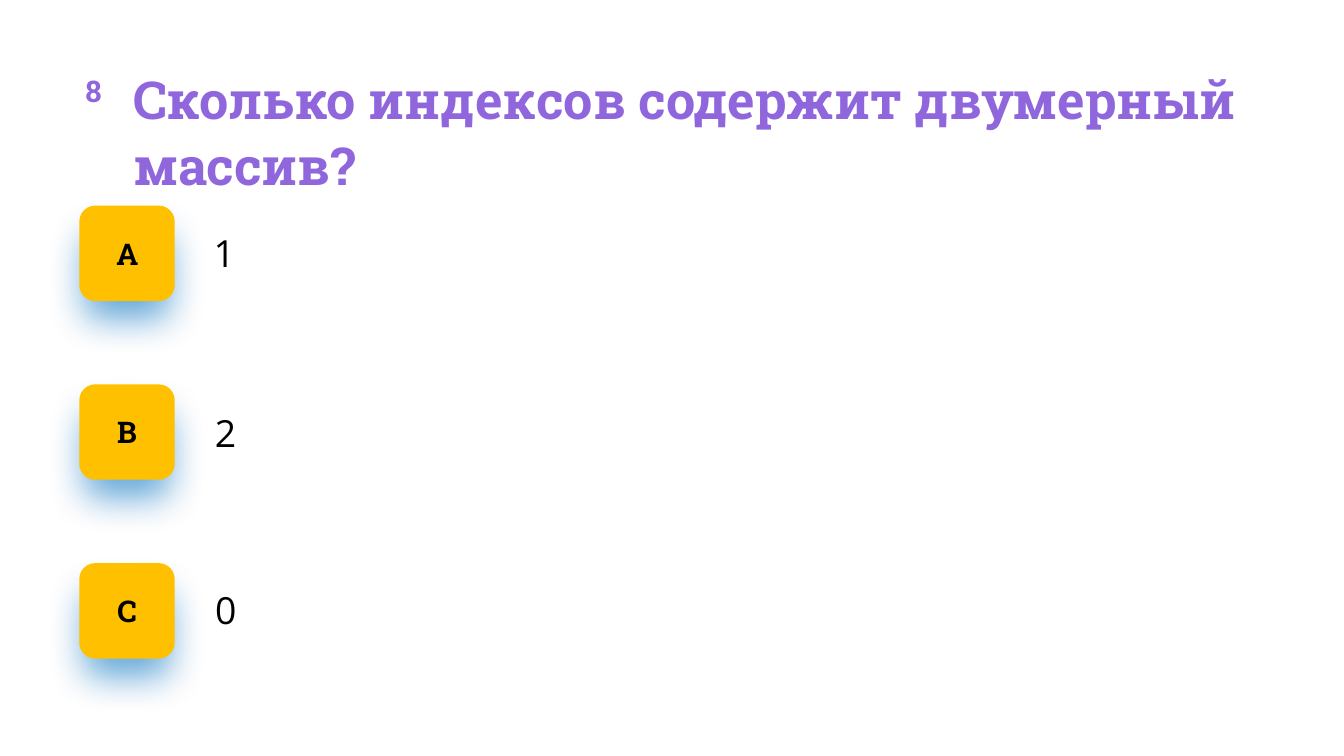
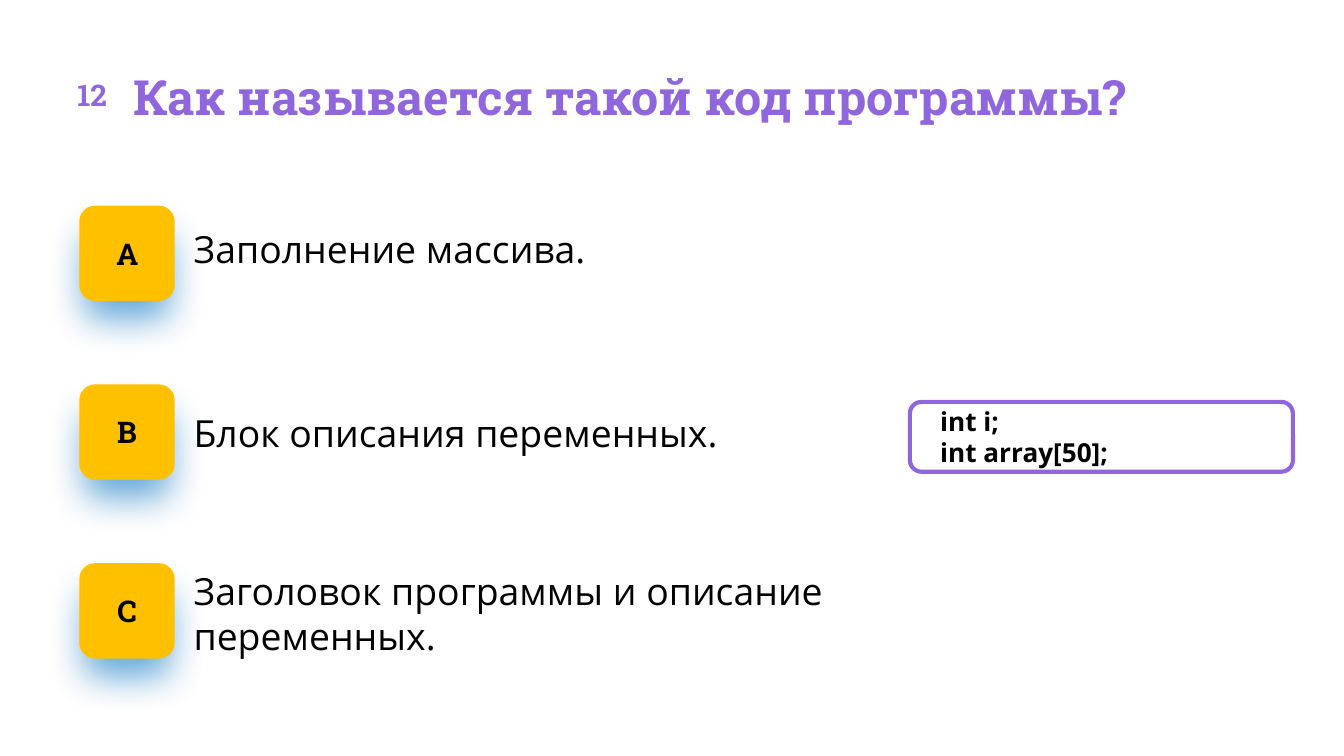
"""Build two quiz slides with lettered answers."""
from dataclasses import dataclass

from lxml import etree
from pptx import Presentation
from pptx import util as u
from pptx.dml.color import RGBColor
from pptx.enum import shapes, text
from pptx.oxml import ns


@dataclass(frozen=True)
class Theme:
    accent: str = "9066DC"
    tile: str = "FFC000"
    glow: str = "0070C0"
    ink: str = "000000"
    heading_font: str = "Roboto Slab"
    body_font: str = "Open Sans"
    label_size: int = 16
    answer_size: int = 20
    code_size: int = 14


def write(shape, content, *, font, size, color, bold=False, align=text.PP_ALIGN.LEFT,
          anchor=text.MSO_ANCHOR.TOP, inset=0, indent=0, spacing=None, grow=True):
    frame = shape.text_frame
    frame.word_wrap = True
    frame.vertical_anchor = anchor
    frame.margin_left = u.Inches(inset)
    frame.margin_top = frame.margin_right = frame.margin_bottom = 0
    frame.auto_size = (text.MSO_AUTO_SIZE.SHAPE_TO_FIT_TEXT if grow
                       else text.MSO_AUTO_SIZE.NONE)
    frame.text = content
    for para in frame.paragraphs:
        para.alignment = align
        if spacing:
            para.line_spacing = spacing
        if indent:
            para._p.get_or_add_pPr().set("indent", str(u.Inches(indent)))
        for span in para.runs:
            span.font.name = font
            span.font.size = u.Pt(size)
            span.font.bold = bold
            span.font.color.rgb = RGBColor.from_string(color)


class QuizDeck:
    TILE_LEFT, TILE_TOP, TILE_SIZE, TILE_STEP = 0.59, 1.53, 0.71, 1.33
    LETTERS = "АBC"

    def __init__(self, theme):
        self.theme = theme
        self.deck = Presentation()
        self.deck.slide_width = u.Inches(10)
        self.deck.slide_height = u.Inches(10) * 9 // 16
        self.page = None

    def add_page(self):
        self.page = self.deck.slides.add_slide(self.deck.slide_layouts[5])

    def title(self, content, size, height):
        box = self.page.shapes.title
        box.left, box.top = u.Inches(0.99), u.Inches(0.47)
        box.width, box.height = u.Inches(8.87), u.Inches(height)
        write(box, content, font=self.theme.heading_font, size=size,
              color=self.theme.accent, bold=True, spacing=1.06)

    def rounded(self, left, top, width, height, fill=None, line=None):
        box = self.page.shapes.add_shape(
            shapes.MSO_SHAPE.ROUNDED_RECTANGLE,
            *map(u.Inches, (left, top, width, height)))
        box.shadow.inherit = False
        if fill:
            box.fill.solid()
            box.fill.fore_color.rgb = RGBColor.from_string(fill)
        else:
            box.fill.background()
        if line:
            box.line.color.rgb = RGBColor.from_string(line)
            box.line.width = u.Pt(2.25)
        else:
            box.line.fill.background()
        return box

    def glow(self, box):
        effects = box._element.spPr.find(ns.qn("a:effectLst"))
        shadow = etree.SubElement(
            effects, ns.qn("a:outerShdw"), blurRad=str(u.Pt(20)),
            dist=str(u.Pt(15)), dir="5400000", sx="90000", sy="90000",
            algn="t", rotWithShape="0")
        color = etree.SubElement(shadow, ns.qn("a:srgbClr"), val=self.theme.glow)
        etree.SubElement(color, ns.qn("a:alpha"), val="60000")

    def label(self, box, content, color):
        write(box, content, font=self.theme.heading_font, size=self.theme.label_size,
              color=color, bold=True, align=text.PP_ALIGN.CENTER,
              anchor=text.MSO_ANCHOR.MIDDLE, grow=False)

    def number(self, content, left, top):
        self.label(self.rounded(left, top, 0.59, 0.59), content, self.theme.accent)

    def tiles(self):
        for row, letter in enumerate(self.LETTERS):
            box = self.rounded(self.TILE_LEFT, self.TILE_TOP + row * self.TILE_STEP,
                               self.TILE_SIZE, self.TILE_SIZE, fill=self.theme.tile)
            self.glow(box)
            self.label(box, letter, self.theme.ink)

    def answer(self, content, left, top, width, height=0.34):
        box = self.page.shapes.add_textbox(*map(u.Inches, (left, top, width, height)))
        write(box, content, font=self.theme.body_font, size=self.theme.answer_size,
              color=self.theme.ink, inset=0.14)

    def code(self, content, left, top, width, height):
        box = self.rounded(left, top, width, height, line=self.theme.accent)
        write(box, content, font=self.theme.body_font, size=self.theme.code_size,
              color=self.theme.ink, bold=True, indent=0.2)

    def question(self, content, size, height, number, number_at, answers):
        self.add_page()
        self.title(content, size, height)
        self.number(number, *number_at)
        self.tiles()
        for answer in answers:
            self.answer(*answer)


def main():
    quiz = QuizDeck(Theme())
    quiz.question(
        "Сколько индексов содержит двумерный массив?", 28, 0.97, "8", (0.4, 0.38),
        [("1", 1.45, 1.71, 7.95),
         ("2", 1.46, 3.05, 7.24),
         ("0", 1.46, 4.37, 8.15)])
    quiz.question(
        "Как называется такой код программы?", 26, 0.44, "12", (0.39, 0.41),
        [("Заполнение массива.", 1.3, 1.68, 5.15),
         ("Блок описания переменных.", 1.3, 3.05, 5.15),
         ("Заголовок программы и описание переменных.", 1.3, 4.23, 5.15, 0.67)])
    quiz.code("int i;\nint array[50];", 6.77, 2.99, 2.85, 0.52)
    quiz.deck.save("out.pptx")


if __name__ == "__main__":
    main()
